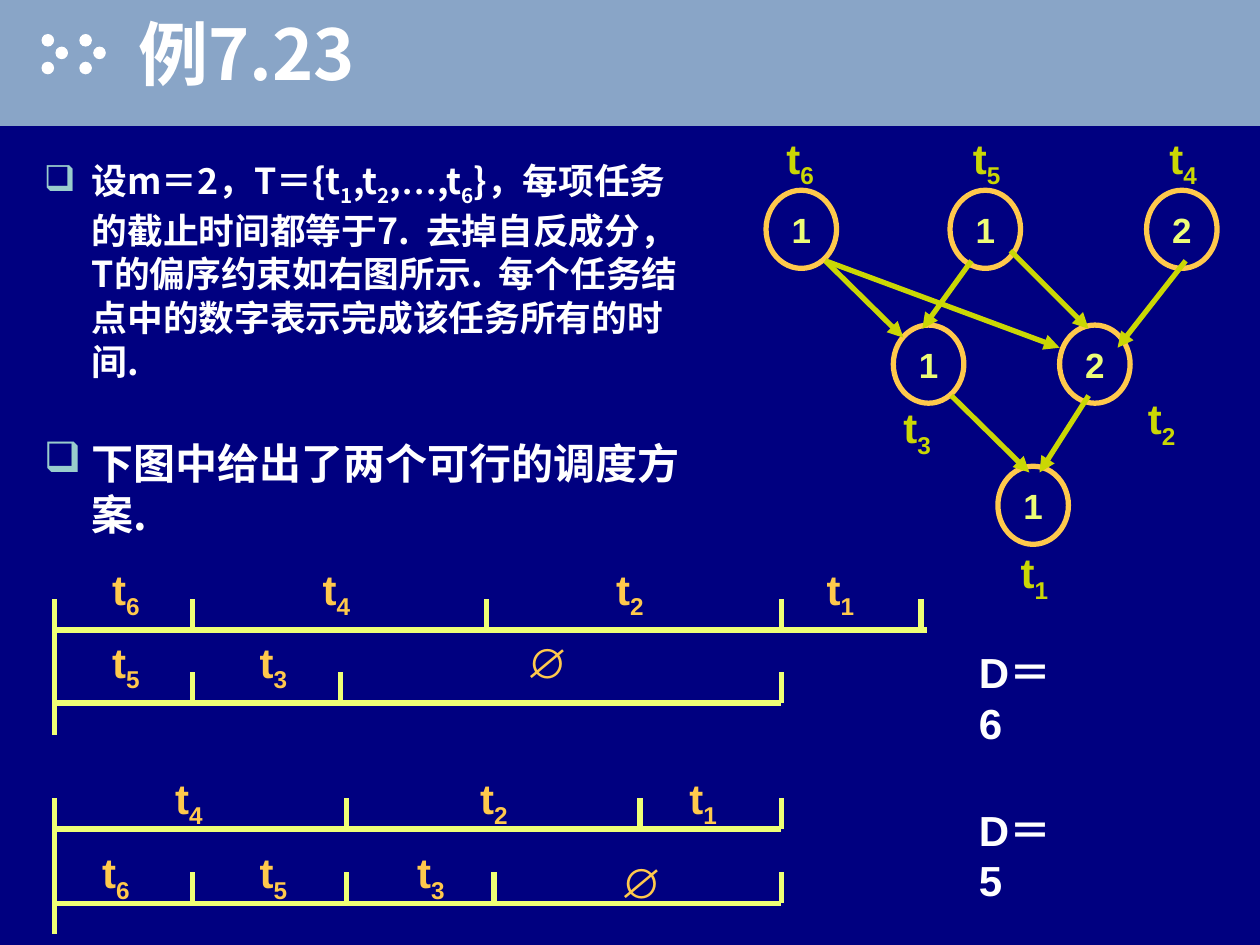
from lxml import etree
from pptx import Presentation
from pptx import util as u
from pptx.dml.color import RGBColor
from pptx.enum import shapes, text
from pptx.oxml.ns import qn

CJK = "Noto Sans CJK SC"
WHITE, BAND, NAVY = "FFFFFF", "89A5C7", "000080"
GOLD, LIME, LEMON, PALE = "FFC94C", "CAD704", "EFFF75", "EDFD77"
NODE_W, NODE_H, TICK = 0.56, 0.62, 0.25

NODES = [(6.08, 1.51, "1"), (7.54, 1.51, "1"), (9.1, 1.51, "2"),
         (7.09, 2.58, "1"), (8.41, 2.58, "2"), (7.92, 3.7, "1")]
NODE_LABELS = [(6.08, 1, "6"), (7.56, 1, "5"), (9.12, 1, "4"),
               (7.01, 3.14, "3"), (8.95, 3.07, "2"), (7.94, 4.29, "1")]
ARROWS = [(6.55, 2.07, 7.17, 2.68), (7.55, 3.14, 8.17, 3.75),
          (6.55, 2.07, 8.41, 2.76), (7.71, 2.07, 7.32, 2.61),
          (8.02, 1.99, 8.64, 2.61), (9.41, 2.07, 8.87, 2.76),
          (8.64, 3.14, 8.25, 3.75)]
# Each schedule: rows of (y, end, ticks), then (left, top, label), then result.
SCHEDULES = [
    ([(5, 7.36, (1.53, 3.86, 6.2, 7.31)), (5.58, 6.2, (1.53, 2.7, 6.2))],
     [(0.75, 4.42, "t|_6"), (2.42, 4.42, "t|_4"), (4.75, 4.42, "t|_2"),
      (6.42, 4.42, "t|_1"), (0.75, 5, "t|_5"), (1.92, 5, "t|_3"),
      (4.08, 5, "∅")],
     (5.08, "D＝6")),
    ([(6.58, 6.2, (2.75, 5.08, 6.2)), (7.17, 6.2, (1.53, 2.75, 3.92, 6.2))],
     [(1.25, 6.08, "t|_4"), (3.67, 6.08, "t|_2"), (5.33, 6.08, "t|_1"),
      (0.67, 6.67, "t|_6"), (1.92, 6.67, "t|_5"), (3.17, 6.67, "t|_3"),
      (4.83, 6.75, "∅")],
     (6.33, "D＝5")),
]
TASK = ("设m＝2，T＝{t|_1|,t|_2|,|…|,t|_6|}，每项任务的截止时间都等于7.  去掉自反成分，"
        "T的偏序约束如右图所示.  每个任务结点中的数字表示完成该任务所有的时间.")


def color(value):
    """Turn a hex string into a colour."""
    return RGBColor.from_string(value)


def write(frame, content, size=24, font="Arial", fill=WHITE, align=None,
          anchor=text.MSO_ANCHOR.TOP, bullet=None, spacing=None):
    """Write bold runs split by bars; an underscore marks a subscript."""
    frame.word_wrap = True
    frame.vertical_anchor = anchor
    paragraph = frame.paragraphs[0]
    paragraph.alignment = align
    if spacing:
        paragraph.line_spacing = u.Pt(spacing)
    if bullet:
        props = paragraph._p.get_or_add_pPr()
        props.set("marL", str(u.Inches(0.38)))
        props.set("indent", str(-u.Inches(0.38)))
        tint = etree.SubElement(props, qn("a:buClr"))
        etree.SubElement(tint, qn("a:srgbClr"), val="99CCCC")
        etree.SubElement(props, qn("a:buChar"), char=bullet)
    for piece in content.split("|"):
        run = paragraph.add_run()
        run.text = piece.lstrip("_")
        run.font.size, run.font.bold = u.Pt(size), True
        run.font.color.rgb = color(fill)
        run.font.name = "Times New Roman" if piece == "…" else font
        props = run._r.get_or_add_rPr()
        if font == CJK:
            east = etree.Element(qn("a:ea"), typeface=CJK)
            props.find(qn("a:latin")).addnext(east)
        if piece.startswith("_"):
            props.set("baseline", "-25000")
    return paragraph


def add_text(slide, left, top, width, height, content, **style):
    """Add a text box."""
    box = slide.shapes.add_textbox(*map(u.Inches, (left, top, width, height)))
    write(box.text_frame, content, **style)


def add_shape(slide, kind, left, top, width, height, fill=None, line=None):
    """Add a preset shape with an optional fill and outline."""
    shape = slide.shapes.add_shape(
        kind, *map(u.Inches, (left, top, width, height)))
    shape.shadow.inherit = False
    if fill:
        shape.fill.solid()
        shape.fill.fore_color.rgb = color(fill)
    else:
        shape.fill.background()
    if line:
        shape.line.color.rgb = color(line)
        shape.line.width = u.Pt(3)
    else:
        shape.line.fill.background()
    return shape


def add_line(slide, ends, stroke, arrow=False):
    """Add a straight line, with an arrowhead at its end if asked."""
    line = slide.shapes.add_connector(
        shapes.MSO_CONNECTOR.STRAIGHT, *map(u.Inches, ends))
    line.line.color.rgb = color(stroke)
    line.line.width = u.Pt(3)
    if arrow:
        etree.SubElement(line.line._get_or_add_ln(), qn("a:tailEnd"),
                         type="triangle")
    etree.SubElement(line._element.spPr, qn("a:effectLst"))


def add_header(slide):
    """Add the band, its dots and the shadowed title."""
    band = add_shape(slide, shapes.MSO_SHAPE.RECTANGLE, 0, 0, 10, 1, fill=BAND)
    title = slide.shapes.title
    band._element.addnext(title._element)
    for start in (0.33, 0.63):
        for dx, top in ((0, 0.27), (0.11, 0.37), (0, 0.49)):
            add_shape(slide, shapes.MSO_SHAPE.OVAL, start + dx, top, 0.1, 0.1,
                      fill=WHITE)
    title.left, title.top = u.Inches(1), 0
    title.width, title.height = u.Inches(9), u.Inches(0.83)
    heading = write(title.text_frame, "例7.23", size=40, font=CJK,
                    align=text.PP_ALIGN.LEFT, anchor=text.MSO_ANCHOR.MIDDLE)
    effects = etree.Element(qn("a:effectLst"))
    shadow = etree.SubElement(effects, qn("a:outerShdw"), dist="25400",
                              dir="2700000")
    etree.SubElement(shadow, qn("a:srgbClr"), val="000000")
    heading.runs[0]._r.rPr.find(qn("a:solidFill")).addnext(effects)


def add_graph(slide):
    """Add the task graph with its partial order."""
    for left, top, duration in NODES:
        node = add_shape(slide, shapes.MSO_SHAPE.OVAL, left, top,
                         NODE_W, NODE_H, line=GOLD)
        write(node.text_frame, duration, size=20, fill=PALE,
              align=text.PP_ALIGN.CENTER, anchor=text.MSO_ANCHOR.MIDDLE)
    for ends in ARROWS:
        add_line(slide, ends, LIME, arrow=True)
    for left, top, number in NODE_LABELS:
        add_text(slide, left, top, 0.54, 0.56, f"t|_{number}", fill=LIME,
                 align=text.PP_ALIGN.CENTER)


def add_schedule(slide, rows, labels, result):
    """Add a two-machine timeline and its finishing time."""
    first_y = rows[0][0]
    add_line(slide, (0.43, first_y + 0.83, 0.43, first_y - TICK), LEMON)
    for y, end, ticks in rows:
        add_line(slide, (0.42, y, end, y), LEMON)
        for x in ticks:
            add_line(slide, (x, y, x, y - TICK), LEMON)
    for left, top, task in labels:
        add_text(slide, left, top, 0.5, 0.56, task, fill=GOLD,
                 align=text.PP_ALIGN.CENTER)
    top, finish = result
    add_text(slide, 7.67, top, 0.95, 0.9, finish, spacing=29)


def main():
    """Build the slide."""
    deck = Presentation()
    deck.slide_width, deck.slide_height = u.Inches(10), u.Inches(7.5)
    slide = deck.slides.add_slide(deck.slide_layouts[5])
    slide.background.fill.solid()
    slide.background.fill.fore_color.rgb = color(NAVY)
    add_header(slide)
    add_text(slide, 0.25, 1.25, 5.33, 2.17, TASK, size=20.4, font=CJK,
             bullet="❑", spacing=25)
    add_graph(slide)
    add_text(slide, 0.25, 3.42, 5.33, 1, "下图中给出了两个可行的调度方案.",
             font=CJK, bullet="❑", spacing=29)
    for schedule in SCHEDULES:
        add_schedule(slide, *schedule)
    deck.save("out.pptx")


if __name__ == "__main__":
    main()
